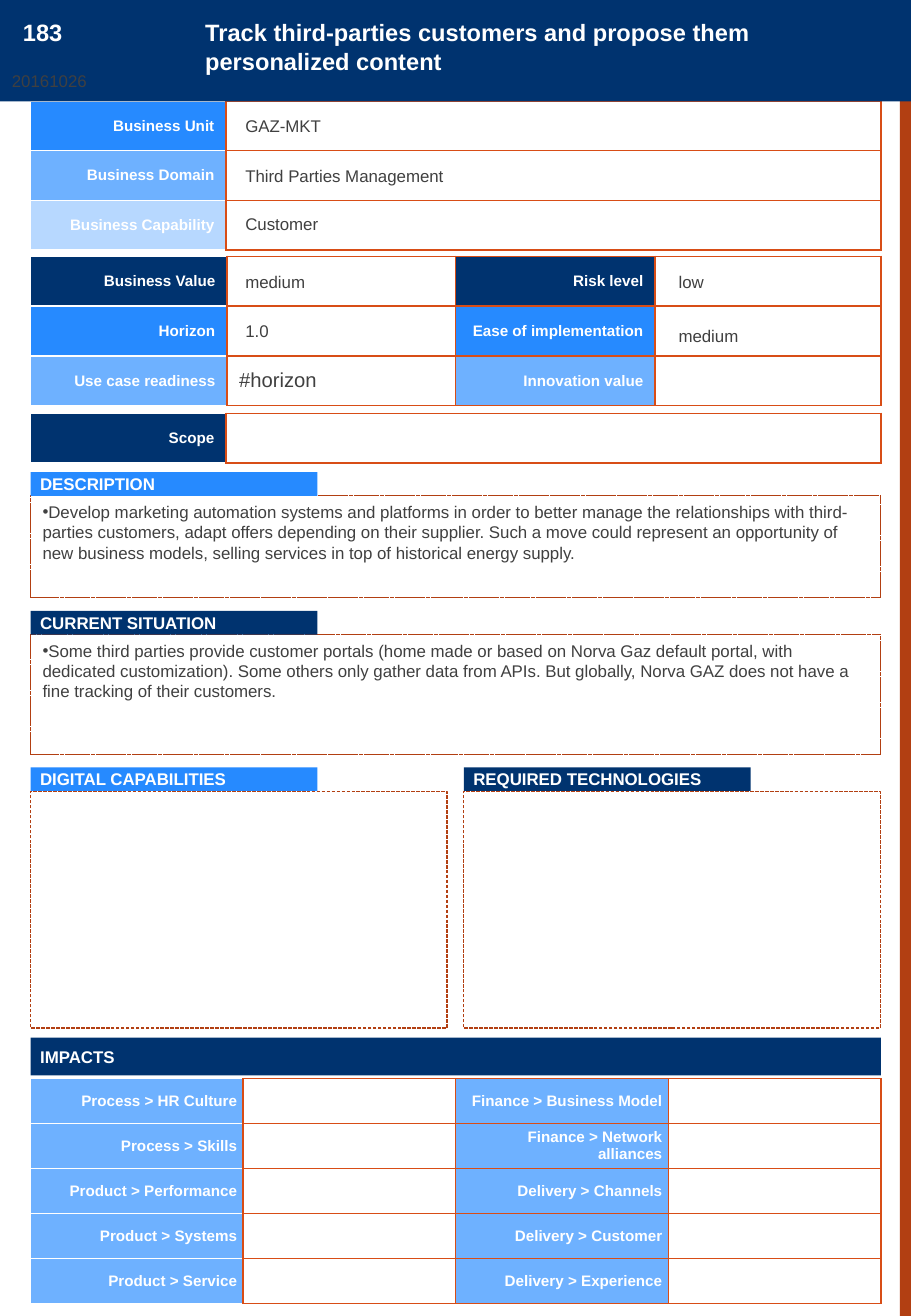
from dataclasses import dataclass
from itertools import product
from typing import Optional

from lxml.etree import SubElement
from pptx import Presentation
from pptx.dml.color import RGBColor
from pptx.enum.dml import MSO_LINE_DASH_STYLE as Dash
from pptx.enum.shapes import MSO_SHAPE as Kind
from pptx.enum.text import MSO_ANCHOR as Anchor, MSO_AUTO_SIZE as Auto, PP_ALIGN as Align
from pptx.oxml import parse_xml
from pptx.oxml.ns import nsdecls, qn
from pptx.util import Cm, Pt

NAVY, BLUE, SKY, PALE = "00336F", "268AFF", "6EB1FF", "B7D8FF"
WHITE, GREY, RUST, ORANGE = "FFFFFF", "404040", "B23F12", "D84D16"
LEFT, MID, WIDE, HALF = 0.64, 9.7, 17.78, 8.71
ROW = 1.04
LONG, SHORT = 12.12, 4.45


@dataclass
class Style:
    size: float = 10
    color: str = GREY
    bold: bool = False
    align: Align = Align.LEFT


@dataclass
class Area:
    x: float
    y: float
    w: float
    h: float


@dataclass
class Block:
    area: Area
    fill: str
    text: str = ""
    style: Optional[Style] = None
    anchor: Anchor = Anchor.MIDDLE
    inset: float = 0.2


@dataclass
class Grid:
    area: Area
    cols: list[float]
    rows: list[list[str]]
    fills: list[str]
    inset: float = 0.25


PLAIN = Style()
HEAD = Style(color=WHITE, bold=True)
BIG = Style(14, WHITE, True)
LABEL = Style(9, WHITE, True, Align.RIGHT)
NOTE = Style(12)

GRIDS = [
    Grid(Area(LEFT, 2.11, WIDE, 3 * ROW), [4.09, 13.69],
         [["Business Unit", ""], ["Business Domain", ""], ["Business Capability", ""]],
         [BLUE, SKY, PALE]),
    Grid(Area(LEFT, 5.36, WIDE, 3 * ROW), [4.11, 4.78, 4.17, 4.72],
         [["Business Value", "", "Risk level", ""],
          ["Horizon", "", "Ease of implementation", ""],
          ["Use case readiness", "#horizon", "Innovation value", ""]],
         [NAVY, BLUE, SKY]),
    Grid(Area(LEFT, 8.64, WIDE, ROW), [4.09, 13.69], [["Scope", ""]], [NAVY]),
    Grid(Area(LEFT, 22.55, WIDE, 4.7), [WIDE / 4] * 4,
         [["Process > HR Culture", "", "Finance > Business Model", ""],
          ["Process > Skills", "", "Finance > Network alliances", ""],
          ["Product > Performance", "", "Delivery > Channels", ""],
          ["Product > Systems", "", "Delivery > Customer", ""],
          ["Product > Service", "", "Delivery > Experience", ""]],
         [SKY] * 5, 0.13),
]
BLOCKS = [
    Block(Area(18.82, 0, 0.23, 27.51), RUST),
    Block(Area(0, -0.03, 19.05, 2.15), NAVY),
    Block(Area(LEFT, 9.87, 6, 0.5), BLUE, "DESCRIPTION", HEAD),
    Block(Area(LEFT, 12.77, 6, 0.5), NAVY, "CURRENT SITUATION", HEAD),
    Block(Area(LEFT, 16.04, 6, 0.5), BLUE, "DIGITAL CAPABILITIES", HEAD),
    Block(Area(MID, 16.04, 6, 0.5), NAVY, "REQUIRED TECHNOLOGIES", HEAD),
    Block(Area(LEFT, 21.69, WIDE, 0.79), NAVY, "IMPACTS", HEAD),
    Block(Area(0.23, 0.25, 2.03, 0.86), NAVY, "183", BIG, Anchor.TOP, 0.25),
    Block(Area(0, 1.35, 2.69, 0.74), NAVY, "20161026", PLAIN, Anchor.TOP, 0.25),
]
VALUES = [
    (4.88, 2.29, LONG, "GAZ-MKT"), (4.88, 3.33, LONG, "Third Parties Management"),
    (4.88, 4.34, LONG, "Customer"), (4.88, 5.54, SHORT, "medium"),
    (4.88, 6.58, SHORT, "1.0"), (13.94, 5.54, SHORT, "low"),
    (13.94, 6.68, SHORT, "medium"),
]
BODIES = [
    (Area(LEFT, 10.36, WIDE, 2.13),
     "Develop marketing automation systems and platforms in order to better manage the "
     "relationships with third-parties customers, adapt offers depending on their supplier. "
     "Such a move could represent an opportunity of new business models, selling services "
     "in top of historical energy supply."),
    (Area(LEFT, 13.26, WIDE, 2.51),
     "Some third parties provide customer portals (home made or based on Norva Gaz default "
     "portal, with dedicated customization). Some others only gather data from APIs. But "
     "globally, Norva GAZ does not have a fine tracking of their customers."),
]


def paint(fill, color: str) -> None:
    fill.solid()
    fill.fore_color.rgb = RGBColor.from_string(color)


def write(frame, text: str, style: Style) -> None:
    frame.text = text
    para = frame.paragraphs[0]
    para.alignment = style.align
    for run in para.runs:
        run.font.name = "Arial"
        run.font.size = Pt(style.size)
        run.font.bold = style.bold
        run.font.color.rgb = RGBColor.from_string(style.color)


def place(shape, area: Area) -> None:
    shape.left, shape.top = Cm(area.x), Cm(area.y)
    shape.width, shape.height = Cm(area.w), Cm(area.h)


def setup(frame, anchor: Anchor, inset: float = 0.25) -> None:
    frame.word_wrap = True
    frame.auto_size = Auto.NONE
    frame.vertical_anchor = anchor
    frame.margin_left = frame.margin_right = Cm(inset)
    frame.margin_top = frame.margin_bottom = Cm(0.13)


def dash(shape) -> None:
    paint(shape.fill, WHITE)
    paint(shape.line.fill, RUST)
    shape.line.width = Pt(0)
    shape.line.dash_style = Dash.SQUARE_DOT


def add_rect(slide, area: Area, fill: str):
    rect = slide.shapes.add_shape(Kind.RECTANGLE, Cm(area.x), Cm(area.y), Cm(area.w), Cm(area.h))
    rect.shadow.inherit = False
    paint(rect.fill, fill)
    rect.line.fill.background()
    return rect


def add_block(slide, block: Block) -> None:
    rect = add_rect(slide, block.area, block.fill)
    if block.style:
        setup(rect.text_frame, block.anchor, block.inset)
        write(rect.text_frame, block.text, block.style)


def edge(cell, first: bool) -> None:
    """Border a cell; the first column is white except on its right."""
    props = cell._tc.get_or_add_tcPr()
    for i, side in enumerate("LRTB"):
        line = parse_xml(f'<a:ln{side} {nsdecls("a")} w="{Pt(1)}"/>')
        color = WHITE if first and side != "R" else ORANGE
        SubElement(SubElement(line, qn("a:solidFill")), qn("a:srgbClr"), val=color)
        props.insert(i, line)


def add_grid(slide, grid: Grid) -> None:
    area, count = grid.area, len(grid.rows)
    table = slide.shapes.add_table(count, len(grid.cols), Cm(area.x), Cm(area.y),
                                   Cm(area.w), Cm(area.h)).table
    table.first_row = table.horz_banding = False
    for col, width in zip(table.columns, grid.cols):
        col.width = Cm(width)
    for row in table.rows:
        row.height = Cm(area.h / count)
    for r, c in product(range(count), range(len(grid.cols))):
        cell, label = table.cell(r, c), c % 2 == 0
        cell.vertical_anchor = Anchor.MIDDLE
        cell.margin_left = cell.margin_right = Cm(grid.inset)
        cell.margin_top = cell.margin_bottom = Cm(0.08)
        paint(cell.fill, grid.fills[r] if label else WHITE)
        write(cell.text_frame, grid.rows[r][c], LABEL if label else NOTE)
        edge(cell, c == 0)


def add_value(slide, x: float, y: float, width: float, text: str) -> None:
    box = slide.shapes.add_textbox(Cm(x), Cm(y), Cm(width), Cm(0.74))
    setup(box.text_frame, Anchor.TOP)
    write(box.text_frame, text, PLAIN)


def fill_body(shape, area: Area, text: str) -> None:
    place(shape, area)
    dash(shape)
    setup(shape.text_frame, Anchor.TOP)
    write(shape.text_frame, text, PLAIN)
    para = shape.text_frame.paragraphs[0]
    para.space_before = Pt(0)
    props = para._p.get_or_add_pPr()
    props.set("marL", "0")
    props.set("indent", "0")


def main() -> None:
    deck = Presentation()
    deck.slide_width, deck.slide_height = Cm(19.05), Cm(27.51)
    slide = deck.slides.add_slide(deck.slide_layouts[3])
    title, *lists = slide.placeholders
    for shape, (area, text) in zip(lists, BODIES):
        fill_body(shape, area, text)
    for grid in GRIDS:
        add_grid(slide, grid)
    for block in BLOCKS:
        add_block(slide, block)
    for x in (LEFT, MID):
        dash(add_rect(slide, Area(x, 16.54, HALF, 4.95), WHITE))
    for value in VALUES:
        add_value(slide, *value)
    place(title, Area(4.04, 0.25, 13.74, 0.86))
    paint(title.fill, NAVY)
    setup(title.text_frame, Anchor.TOP)
    write(title.text_frame,
          "Track third-parties customers and propose them personalized content", BIG)
    slide.shapes.element.append(title.element)
    deck.save("out.pptx")


if __name__ == "__main__":
    main()
